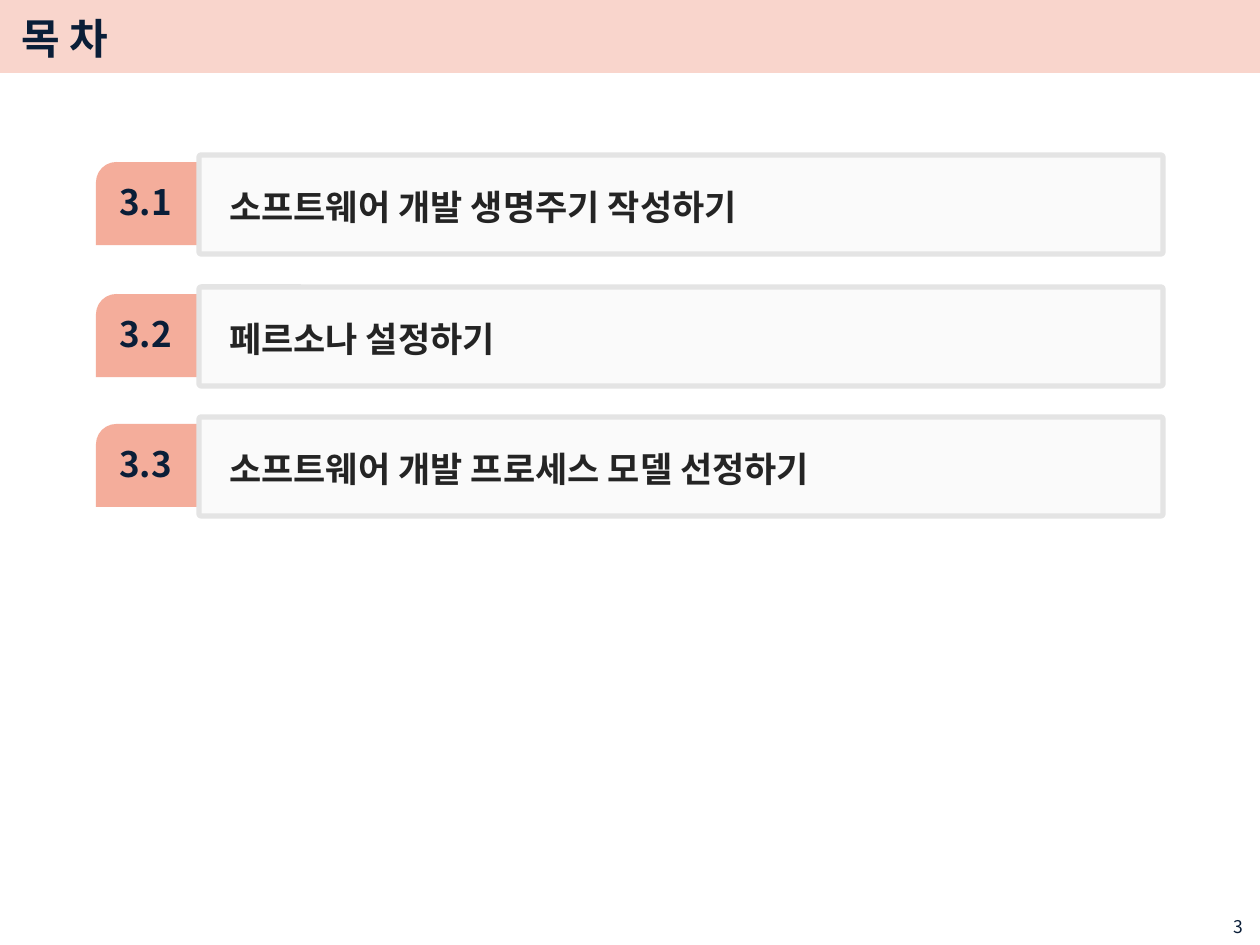
from lxml import etree
from pptx import Presentation
from pptx.dml.color import RGBColor
from pptx.enum.shapes import MSO_SHAPE as Shape
from pptx.enum.text import MSO_ANCHOR as Anchor, MSO_AUTO_SIZE as Auto, PP_ALIGN as Align
from pptx.oxml.ns import qn
from pptx.util import Pt

PX = 914400 // 126
FONT = "Noto Sans CJK KR"
NAVY = RGBColor(0x0A, 0x1E, 0x38)
INK = RGBColor(0x24, 0x24, 0x24)
CORAL = RGBColor(0xEE, 0x77, 0x59)
PALE = RGBColor(0xF2, 0xF2, 0xF2)
EDGE = RGBColor(0xE4, 0xE4, 0xE4)

# Top of each row, number, heading
ROWS = [
    (155, "3.1", "소프트웨어 개발 생명주기 작성하기"),
    (287, "3.2", "페르소나 설정하기"),
    (417, "3.3", "소프트웨어 개발 프로세스 모델 선정하기"),
]


def scale(*sizes):
    return [size * PX for size in sizes]


def write(frame, text, size, color, bold=True, align=Align.LEFT):
    frame.text = text
    frame.word_wrap = True
    para = frame.paragraphs[0]
    para.alignment = align
    run = para.runs[0]
    font = run.font
    font.name, font.size, font.bold = FONT, Pt(size), bold
    font.color.rgb = color
    # Korean glyphs take the East Asian typeface
    etree.SubElement(run._r.get_or_add_rPr(), qn("a:ea"), typeface=FONT)
    return para


def indent(para, left, first=0):
    props = para._p.get_or_add_pPr()
    props.set("marL", str(left * PX))
    props.set("indent", str(first * PX))


def add_block(slide, kind, box, color, alpha):
    block = slide.shapes.add_shape(kind, *scale(*box))
    block.shadow.inherit = False
    block.fill.solid()
    block.fill.fore_color.rgb = color
    tint = block.fill._xPr.find(".//" + qn("a:srgbClr"))
    etree.SubElement(tint, qn("a:alpha"), val=str(alpha * 1000))
    block.line.fill.background()
    return block


def add_title(slide, text):
    band = add_block(slide, Shape.RECTANGLE, (0, -3, 1260, 76), CORAL, 30)
    slide.shapes._spTree.insert(2, band._element)  # behind the title
    title = slide.shapes.title
    title.left, title.top, title.width, title.height = scale(9, 5, 1072, 66)
    frame = title.text_frame
    frame.auto_size = Auto.NONE
    frame.vertical_anchor = Anchor.MIDDLE
    write(frame, text, 24, NAVY)


def add_row(slide, top, number, text):
    # Number tab
    tab = add_block(slide, Shape.SNIP_ROUND_RECTANGLE, (96, top + 7, 104, 83), CORAL, 60)
    tab.adjustments[0], tab.adjustments[1] = 0.245, 0
    frame = tab.text_frame
    frame.margin_top, frame.margin_bottom = scale(0, 10)
    indent(write(frame, number, 20, NAVY), 5)

    # Heading box
    panel = add_block(slide, Shape.ROUNDED_RECTANGLE, (199, top, 964, 99), PALE, 33)
    panel.adjustments[0] = 0.023
    panel.line.color.rgb = EDGE
    panel.line.width = Pt(3)
    para = write(panel.text_frame, text, 20, INK)
    para.line_spacing = 1.1
    indent(para, 16, 1)


def add_number(slide, text):
    box = slide.shapes.add_textbox(*scale(1140, 910, 116, 29))
    write(box.text_frame, text, 10, NAVY, False, Align.RIGHT)


def main():
    deck = Presentation()
    deck.slide_width, deck.slide_height = scale(1260, 945)
    slide = deck.slides.add_slide(deck.slide_layouts[5])
    add_title(slide, "목 차")
    add_number(slide, "3")
    for row in ROWS:
        add_row(slide, *row)
    deck.save("out.pptx")


if __name__ == "__main__":
    main()
